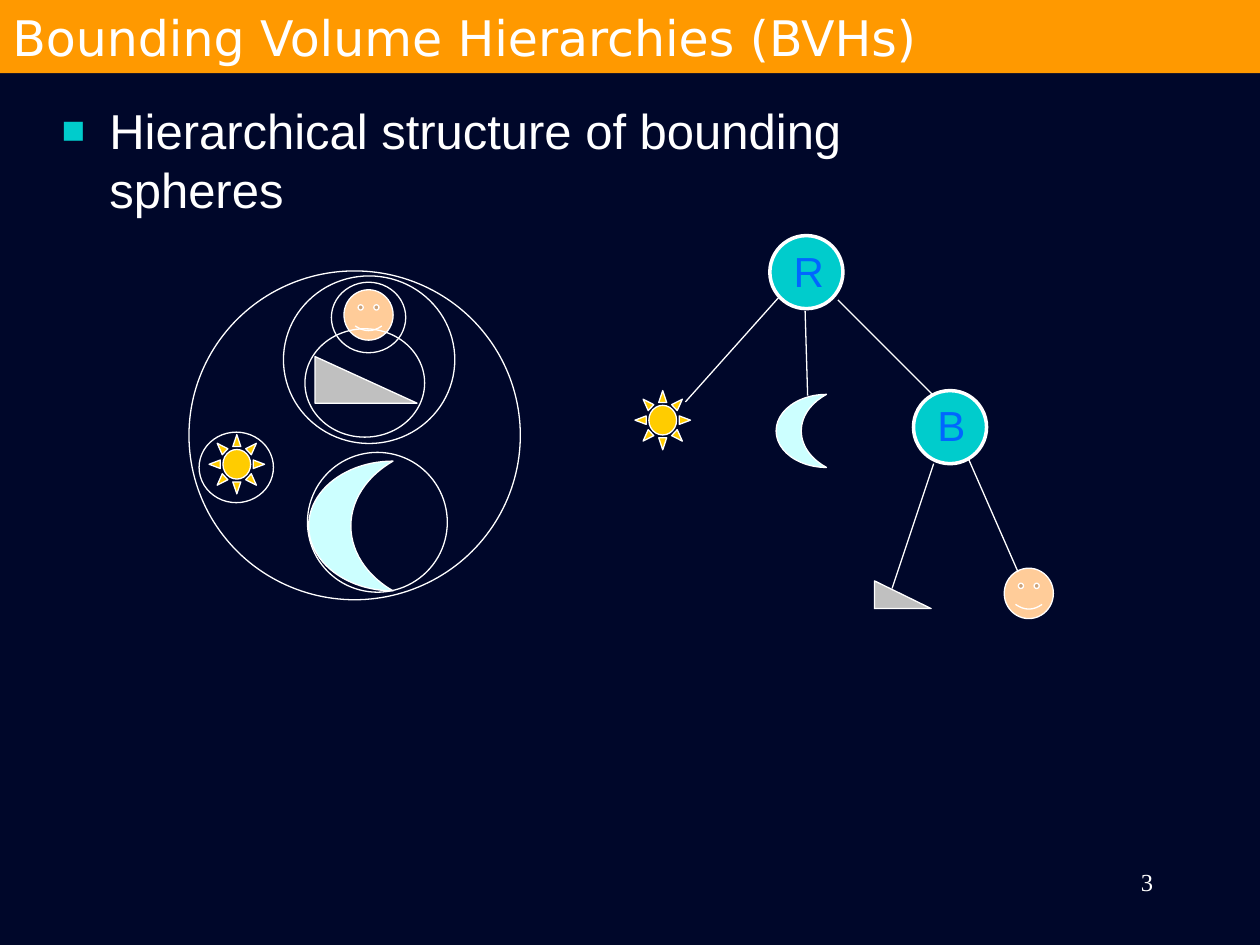
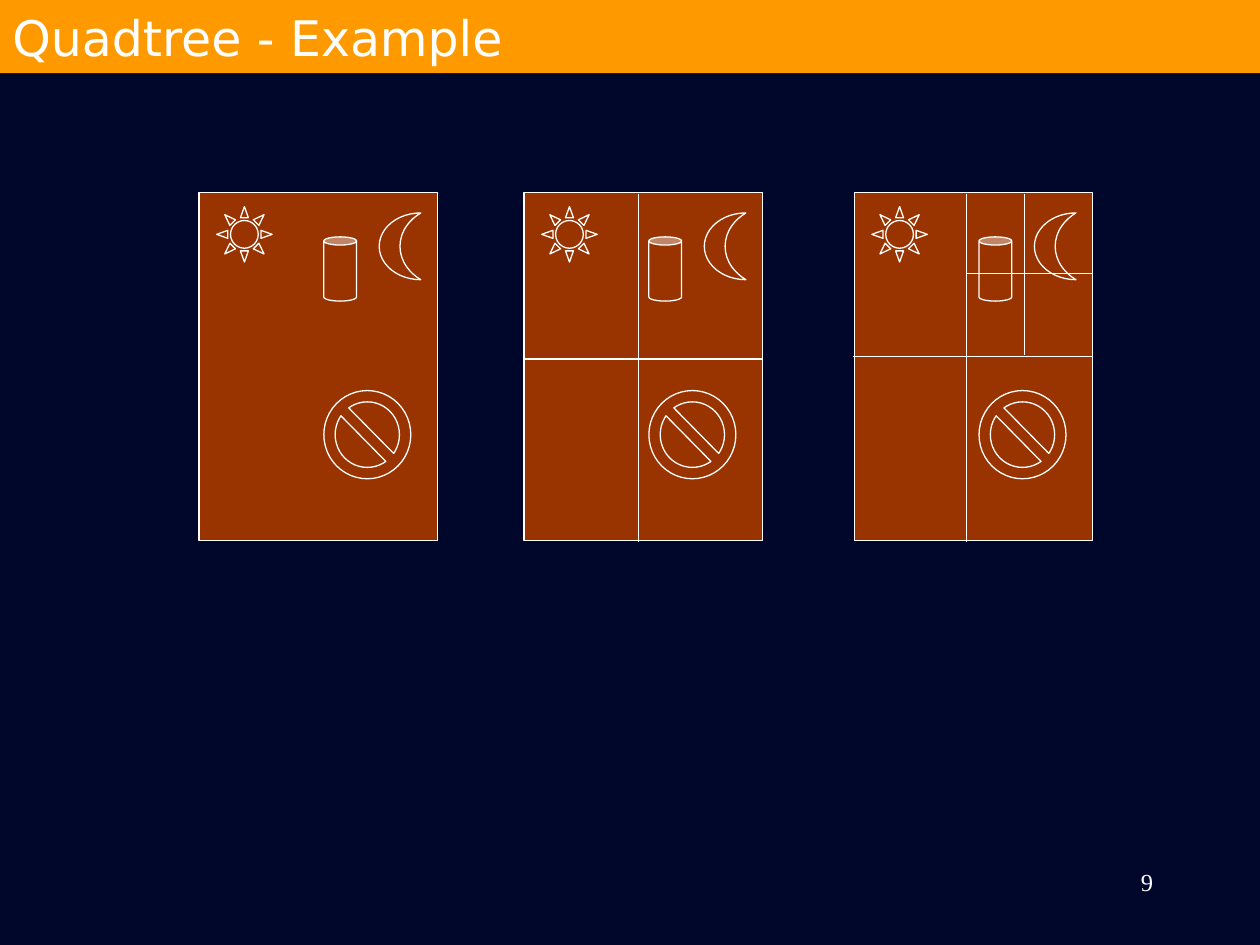
from dataclasses import dataclass

from lxml import etree
from pptx import Presentation
from pptx import util as u
from pptx.dml import color
from pptx.enum import shapes, text
from pptx.oxml import ns

KIND = shapes.MSO_SHAPE


@dataclass(frozen=True)
class Theme:
    night: str = "00072A"
    white: str = "FFFFFF"
    band: str = "FF9900"
    teal: str = "00CCCC"
    label: str = "0066FF"
    panel: str = "993300"
    sun: str = "FFCC00"
    skin: str = "FFCC99"
    grey: str = "C0C0C0"
    moon: str = "CCFFFF"
    thin: float = 0.75
    thick: float = 2


THEME = Theme()

FONTS = {
    "title": {"name": "DejaVu Sans", "size": u.Pt(28), "color": THEME.white},
    "body": {"name": "Arial", "size": u.Pt(28), "color": THEME.white},
    "node": {"name": "Arial", "size": u.Pt(24), "color": THEME.label},
    "number": {"name": "Times New Roman", "size": u.Pt(14), "color": THEME.white},
}
FRAME = {
    "margin_left": u.Inches(0.1), "margin_right": u.Inches(0.1),
    "margin_top": u.Inches(0.05), "margin_bottom": u.Inches(0.05),
}

# Content: bounding volume hierarchy; every box is left, top, width, height
BVH_TITLE = "Bounding Volume Hierarchies (BVHs)"
BVH_POINT = "Hierarchical structure of bounding spheres"
OBJECTS = {
    "sun": (KIND.SUN, THEME.sun),
    "face": (KIND.SMILEY_FACE, THEME.skin),
    "wedge": (KIND.RIGHT_TRIANGLE, THEME.grey),
    "moon": (KIND.MOON, THEME.moon),
}
SCENE = [
    ("sun", (1.66, 3.45, 0.44, 0.47)),
    ("face", (2.73, 2.3, 0.39, 0.4)),
    ("wedge", (2.5, 2.83, 0.81, 0.37)),
    ("moon", (2.45, 3.66, 0.67, 1.03)),
]
SPHERES = [
    (1.58, 3.43, 0.59, 0.56),
    (2.63, 2.24, 0.59, 0.56),
    (2.42, 2.61, 0.95, 0.86),
    (2.25, 2.19, 1.36, 1.33),
    (1.5, 2.15, 2.63, 2.61),
    (2.44, 3.59, 1.11, 1.11),
]
NODE_SIZE = 0.58
NODES = [  # label, node corner, label box
    ("R", (6.11, 1.87), (6.2, 1.9, 0.44, 0.5)),
    ("B", (7.25, 3.1), (7.34, 3.12, 0.42, 0.5)),
]
LEAVES = [
    ("sun", (5.04, 3.1, 0.44, 0.47)),
    ("moon", (6.16, 3.13, 0.4, 0.58)),
    ("wedge", (6.94, 4.61, 0.45, 0.22)),
    ("face", (7.97, 4.51, 0.39, 0.4)),
]
BRANCHES = [  # x1, y1, x2, y2
    (6.19, 2.35, 5.44, 3.19),
    (6.39, 2.47, 6.41, 3.14),
    (6.65, 2.38, 7.41, 3.14),
    (7.41, 3.68, 7.08, 4.67),
    (7.69, 3.65, 8.08, 4.54),
]

# Content: quadtree; objects are placed relative to the panel corner
QUADTREE_TITLE = "Quadtree - Example"
PANEL_LEFTS = [1.58, 4.16, 6.78]
PANEL_TOP = 1.53
PANEL_OBJECTS = [
    (KIND.RECTANGLE, (0, 0, 1.89, 2.76)),
    (KIND.SUN, (0.14, 0.11, 0.44, 0.44)),
    (KIND.NO_SYMBOL, (0.99, 1.57, 0.69, 0.7)),
    (KIND.CAN, (0.99, 0.35, 0.26, 0.51)),
    (KIND.MOON, (1.43, 0.16, 0.33, 0.53)),
]
SPLITS = [
    (4.16, 2.85, 6.05, 2.85),
    (6.77, 2.83, 8.67, 2.83),
    (5.07, 1.54, 5.07, 4.3),
    (7.67, 1.54, 7.67, 4.3),
    (7.67, 2.17, 8.67, 2.17),
    (8.13, 1.54, 8.13, 2.82),
]


# Drawing helpers
def inches(values):
    return [u.Inches(value) for value in values]


def rgb(value):
    return color.RGBColor.from_string(value)


def draw(canvas, kind, box, fill=None, weight=THEME.thin):
    figure = canvas.add_shape(kind, *inches(box))
    figure.shadow.inherit = False
    if fill:
        figure.fill.solid()
        figure.fill.fore_color.rgb = rgb(fill)
    else:
        figure.fill.background()
    if weight:
        figure.line.color.rgb = rgb(THEME.white)
        figure.line.width = u.Pt(weight)
    else:
        figure.line.fill.background()
    return figure


def write(holder, words, style, wrap=True, anchor=text.MSO_ANCHOR.TOP,
          align=text.PP_ALIGN.LEFT):
    frame = holder.text_frame
    settings = {**FRAME, "word_wrap": wrap, "vertical_anchor": anchor}
    for key, value in settings.items():
        setattr(frame, key, value)
    paragraph = frame.paragraphs[0]
    paragraph.alignment = align
    run = paragraph.add_run()
    run.text = words
    for key, value in FONTS[style].items():
        if key == "color":
            run.font.color.rgb = rgb(value)
        else:
            setattr(run.font, key, value)
    return paragraph


def add_text(slide, box, words, style, **layout):
    return write(slide.shapes.add_textbox(*inches(box)), words, style, **layout)


def add_bullet(paragraph):
    properties = paragraph._p.get_or_add_pPr()
    indent = u.Inches(0.38)
    properties.set("marL", str(indent))
    properties.set("indent", str(-indent))
    tint = etree.SubElement(properties, ns.qn("a:buClr"))
    etree.SubElement(tint, ns.qn("a:srgbClr"), val=THEME.teal)
    etree.SubElement(properties, ns.qn("a:buSzPct"), val="80000")
    etree.SubElement(properties, ns.qn("a:buFont"), typeface="Arial")
    etree.SubElement(properties, ns.qn("a:buChar"), char="■")


def add_lines(slide, ends):
    for line_ends in ends:
        line = slide.shapes.add_connector(
            shapes.MSO_CONNECTOR.STRAIGHT, *inches(line_ends))
        line.line.color.rgb = rgb(THEME.white)
        line.line.width = u.Pt(THEME.thin)
        etree.SubElement(line._element.spPr, ns.qn("a:effectLst"))


def add_objects(slide, placed):
    for name, box in placed:
        kind, fill = OBJECTS[name]
        draw(slide.shapes, kind, box, fill)


def start_slide(deck, title, number):
    slide = deck.slides.add_slide(deck.slide_layouts[6])
    slide.background.fill.solid()
    slide.background.fill.fore_color.rgb = rgb(THEME.night)
    page = add_text(slide, (7.17, 6.83, 2.08, 0.5), number, "number",
                    align=text.PP_ALIGN.RIGHT)
    page.space_before = u.Pt(8.8)
    band = draw(slide.shapes, KIND.RECTANGLE, (0, 0, 10, 0.58), THEME.band, weight=0)
    write(band, title, "title", anchor=text.MSO_ANCHOR.MIDDLE)
    return slide


def build_hierarchy(deck):
    slide = start_slide(deck, BVH_TITLE, "3")
    point = add_text(slide, (0.39, 0.75, 7.67, 0.67), BVH_POINT, "body")
    point.space_before = u.Pt(7)
    add_bullet(point)

    # Scene with its bounding spheres
    add_objects(slide, SCENE)
    for sphere in SPHERES:
        draw(slide.shapes, KIND.OVAL, sphere)

    # Tree
    for _, corner, _ in NODES:
        draw(slide.shapes, KIND.OVAL, (*corner, NODE_SIZE, NODE_SIZE),
             THEME.teal, THEME.thick)
    add_objects(slide, LEAVES)
    add_lines(slide, BRANCHES)
    for label, _, box in NODES:
        add_text(slide, box, label, "node", wrap=False)


def build_quadtree(deck):
    slide = start_slide(deck, QUADTREE_TITLE, "9")
    for panel_left in PANEL_LEFTS:
        panel = slide.shapes.add_group_shape()
        for kind, (dx, dy, width, height) in PANEL_OBJECTS:
            box = (panel_left + dx, PANEL_TOP + dy, width, height)
            figure = draw(panel.shapes, kind, box, THEME.panel)
            if kind == KIND.NO_SYMBOL:
                figure.adjustments[0] = 0.13
    add_lines(slide, SPLITS)


def main():
    deck = Presentation()
    deck.slide_width, deck.slide_height = inches((10, 7.5))
    build_hierarchy(deck)
    build_quadtree(deck)
    deck.save("out.pptx")


if __name__ == "__main__":
    main()
